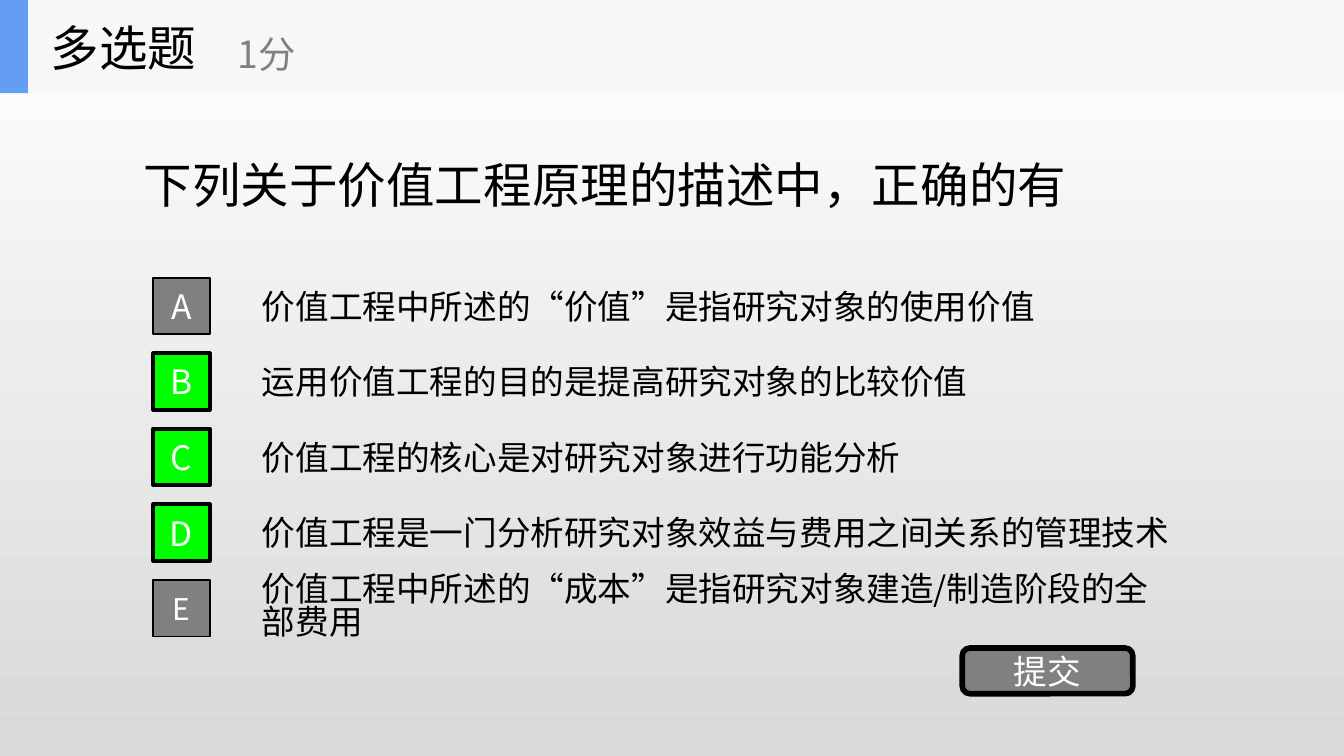
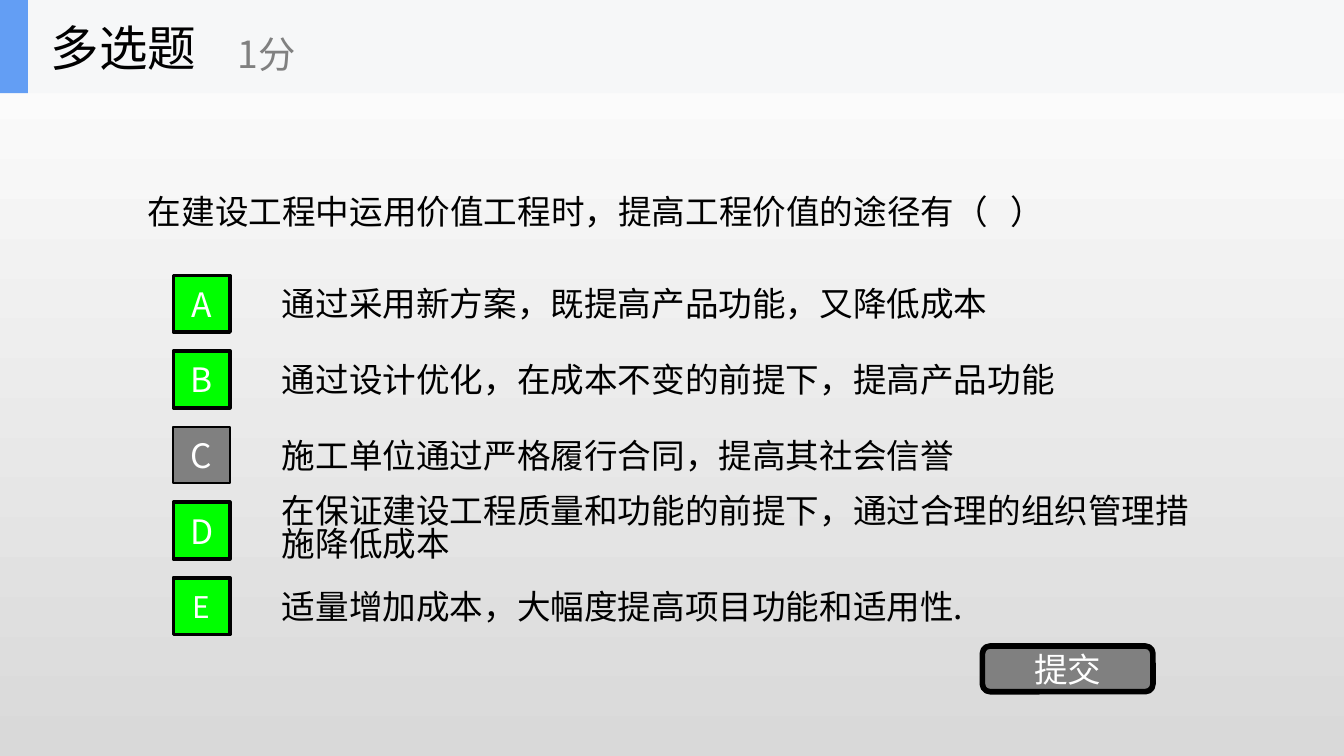
from lxml import etree
from pptx import Presentation
from pptx.dml.color import RGBColor
from pptx.enum.shapes import MSO_SHAPE
from pptx.enum.text import MSO_ANCHOR, MSO_AUTO_SIZE, PP_ALIGN
from pptx.oxml.ns import qn
from pptx.util import Pt

FONT = "Noto Sans CJK SC"
BLACK = RGBColor(0x00, 0x00, 0x00)
WHITE = RGBColor(0xFF, 0xFF, 0xFF)
GRAY = RGBColor(0x80, 0x80, 0x80)
GREEN = RGBColor(0x00, 0xFF, 0x00)
BAND = RGBColor(0xF6, 0xF7, 0xF8)
ACCENT = RGBColor(0x63, 0x9E, 0xF4)
PAGE_BOTTOM = RGBColor(0xD9, 0xD9, 0xD9)

KIND, SCORE, SUBMIT = "多选题", "1分", "提交"
QUESTIONS = [
    {
        "question": "下列关于价值工程原理的描述中，正确的有",
        "question_at": (69.8, 35.3),
        "question_size": 26,
        "options_at": (133.2, 144.7),
        "correct": "BCD",
        "options": [
            "价值工程中所述的“价值”是指研究对象的使用价值",
            "运用价值工程的目的是提高研究对象的比较价值",
            "价值工程的核心是对研究对象进行功能分析",
            "价值工程是一门分析研究对象效益与费用之间关系的管理技术",
            "价值工程中所述的“成本”是指研究对象建造/制造阶段的全部费用",
        ],
    },
    {
        "question": "在建设工程中运用价值工程时，提高工程价值的途径有（   ）",
        "question_at": (72, 49.7),
        "question_size": 18,
        "options_at": (144, 143.6),
        "correct": "ABDE",
        "options": [
            "通过采用新方案，既提高产品功能，又降低成本",
            "通过设计优化，在成本不变的前提下，提高产品功能",
            "施工单位通过严格履行合同，提高其社会信誉",
            "在保证建设工程质量和功能的前提下，通过合理的组织管理措施降低成本",
            "适量增加成本，大幅度提高项目功能和适用性.",
        ],
    },
]

WIDTH, HEIGHT, HEADER = 720, 405, 50
ROW_PITCH, OPTION_WIDTH, OPTION_HEIGHT = 40.5, 504, 38
BADGE, BADGE_OFFSET = 30.3, (-51.1, 4)
SUBMIT_OFFSET = 382.3
LINE_CHARS = 27


def write(shape, text, size=18, color=BLACK, align=PP_ALIGN.LEFT, spacing=1.0, inset=None):
    frame = shape.text_frame
    frame.word_wrap = True
    frame.auto_size = MSO_AUTO_SIZE.NONE
    frame.vertical_anchor = MSO_ANCHOR.MIDDLE
    if inset is not None:
        frame.margin_left = frame.margin_right = Pt(inset)
        frame.margin_top = frame.margin_bottom = Pt(inset)
    paragraph = frame.paragraphs[0]
    paragraph.alignment = align
    paragraph.line_spacing = spacing
    run = paragraph.add_run()
    run.text = text
    run.font.size = Pt(size)
    run.font.color.rgb = color
    run.font.name = FONT
    etree.SubElement(run._r.get_or_add_rPr(), qn("a:ea"), typeface=FONT)


def add_text(shapes, box, text, **style):
    write(shapes.add_textbox(*map(Pt, box)), text, **style)


def add_block(shapes, box, fill, line=0, preset=MSO_SHAPE.RECTANGLE):
    block = shapes.add_shape(preset, *map(Pt, box))
    block.shadow.inherit = False
    block.fill.solid()
    block.fill.fore_color.rgb = fill
    if line:
        block.line.color.rgb = BLACK
        block.line.width = Pt(line)
    else:
        block.line.fill.background()
    return block


def add_button(shapes, box, text, size=18, **look):
    write(add_block(shapes, box, **look), text, size=size, color=WHITE,
          align=PP_ALIGN.CENTER, inset=0)


def add_header(slide):
    header = slide.shapes.add_group_shape().shapes
    add_block(header, (0, 0, WIDTH, HEADER), BAND)
    add_block(header, (0, 0, 15, HEADER), ACCENT)
    add_text(header, (20.2, 0, 150, HEADER), KIND, size=26)
    add_text(header, (120.2, 8.6, 180, 40.3), SCORE, size=20, color=GRAY)


def add_options(slide, content):
    left, first_top = content["options_at"]
    for row, (letter, option) in enumerate(zip("ABCDE", content["options"])):
        top = first_top + row * ROW_PITCH
        add_text(slide.shapes, (left, top, OPTION_WIDTH, OPTION_HEIGHT), option,
                 spacing=0.82 if len(option) > LINE_CHARS else 1.0)
        correct = letter in content["correct"]
        add_button(slide.shapes,
                   (left + BADGE_OFFSET[0], top + BADGE_OFFSET[1], BADGE, BADGE),
                   letter, size=16 if letter == "E" else 18,
                   fill=GREEN if correct else GRAY, line=2 if correct else 1)
    submit_top = first_top + len(content["options"]) * ROW_PITCH
    add_button(slide.shapes, (left + SUBMIT_OFFSET, submit_top, 91.4, 24.5), SUBMIT,
               fill=GRAY, line=3, preset=MSO_SHAPE.ROUNDED_RECTANGLE)


def add_question(prs, content):
    slide = prs.slides.add_slide(prs.slide_layouts[5])
    question = slide.shapes.title
    question.left, question.top = map(Pt, content["question_at"])
    question.width, question.height = Pt(576), Pt(126.7)
    write(question, content["question"], size=content["question_size"])
    add_options(slide, content)
    add_header(slide)


def set_background(master):
    fill = master.background.fill
    fill.gradient()
    fill.gradient_angle = 270
    for stop, color in zip(fill.gradient_stops, (WHITE, PAGE_BOTTOM)):
        stop.color.rgb = color


def main():
    prs = Presentation()
    prs.slide_width, prs.slide_height = Pt(WIDTH), Pt(HEIGHT)
    set_background(prs.slide_master)
    for content in QUESTIONS:
        add_question(prs, content)
    prs.save("out.pptx")


if __name__ == "__main__":
    main()
